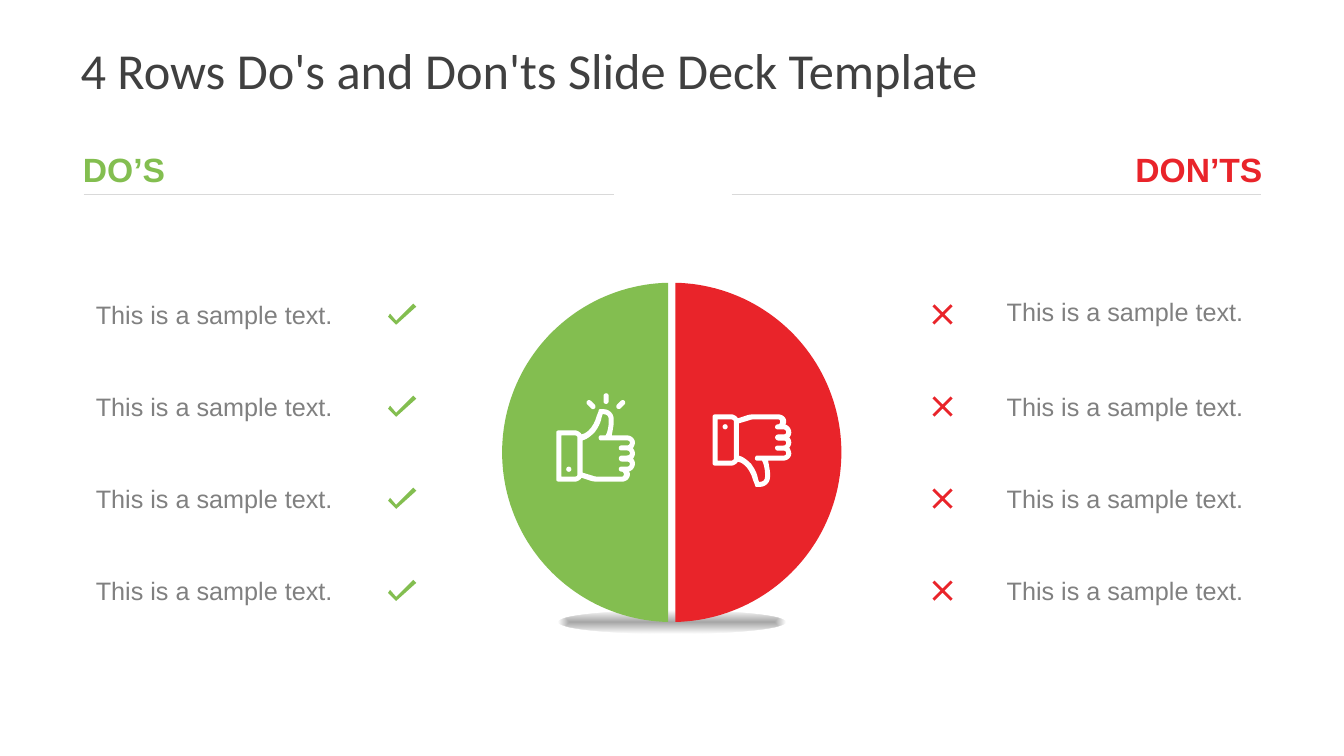
from dataclasses import dataclass
from math import acos, cos, sin

from pptx import Presentation
from pptx.dml.color import RGBColor
from pptx.enum.shapes import MSO_CONNECTOR as Connector, MSO_SHAPE as Preset
from pptx.enum.text import MSO_ANCHOR as Anchor, PP_ALIGN as Align
from pptx.oxml import parse_xml
from pptx.oxml.ns import nsdecls
from pptx.oxml.xmlchemy import OxmlElement
from pptx.util import Cm, Pt

GREEN, RED, WHITE = "83BE50", "E9242A", "FFFFFF"
GREY, DARK, RULE = "808080", "404040", "D9D9D9"
UNIT = Cm(2.54) / 100  # outlines are drawn in hundredths of an inch
ROWS, ROW_PITCH = 4, 2.32
THUMB_HEIGHT = 72

Contour = list[tuple[float, ...]]

TICK: Contour = [(8, 17), (2, 10), (0, 13), (8, 21), (28, 3), (25, 0)]
CROSS: Contour = [(20, 2), (18, 0), (10, 8), (2, 0), (0, 2), (8, 10),
                  (0, 18), (2, 20), (10, 12), (18, 20), (20, 18), (12, 10)]

# Pairs are corners; six numbers are a Bezier curve from the previous point.
HAND_OUTSIDE: Contour = [
    (76, 39), (77, 37, 78, 35, 78, 33), (78, 29, 74, 26, 70, 26), (55, 26),
    (56, 21, 57, 15, 57, 13), (57, 10), (57, 4, 52, 0, 47, 0), (44, 0),
    (43, 0, 42, 0, 42, 2), (40, 7), (38, 15, 32, 24, 25, 25),
    (24, 23, 21, 21, 18, 21), (3, 21), (1, 21, 0, 22, 0, 23), (0, 70),
    (0, 71, 1, 72, 3, 72), (18, 72), (21, 72, 24, 70, 25, 68), (34, 71),
    (37, 72, 40, 72, 43, 72), (65, 72), (69, 72, 73, 69, 73, 65),
    (73, 64, 73, 63, 72, 62), (75, 61, 78, 58, 78, 54),
    (78, 52, 77, 50, 76, 49), (77, 48, 78, 46, 78, 44),
    (78, 42, 77, 40, 76, 39)]
CUFF_INSIDE: Contour = [
    (21, 65), (21, 66, 20, 67, 18, 67), (5, 67), (5, 26), (18, 26),
    (20, 26, 21, 27, 21, 28)]
HAND_INSIDE: Contour = [
    (65, 41), (70, 41), (72, 41, 73, 42, 73, 44), (73, 45, 72, 46, 70, 46),
    (65, 46), (63, 46, 62, 48, 62, 49), (62, 50, 63, 52, 65, 52), (70, 52),
    (72, 52, 73, 53, 73, 54), (73, 56, 72, 57, 70, 57), (65, 57),
    (63, 57, 62, 58, 62, 59), (62, 61, 63, 62, 65, 62),
    (66, 62, 67, 63, 67, 65), (67, 66, 66, 67, 65, 67), (43, 67),
    (41, 67, 38, 67, 36, 66), (26, 63), (26, 31), (30, 30, 34, 27, 38, 23),
    (41, 19, 44, 14, 45, 8), (46, 5), (47, 5), (50, 5, 52, 7, 52, 10),
    (52, 13), (52, 16, 51, 23, 49, 26), (44, 26), (43, 26, 42, 27, 42, 28),
    (42, 30, 43, 31, 44, 31), (70, 31), (72, 31, 73, 32, 73, 33),
    (73, 35, 72, 36, 70, 36), (65, 36), (63, 36, 62, 37, 62, 39),
    (62, 40, 63, 41, 65, 41)]


@dataclass
class Side:
    heading: str
    heading_left: float
    heading_width: float
    rule_left: float
    rule_right: float
    color: str
    direction: int
    mark: Contour
    mark_left: float
    mark_top: float
    text_left: float
    text_align: Align
    first_row_lift: float
    thumb_left: float
    thumb_top: float
    thumb_down: bool


@dataclass
class Spark:
    left: float
    top: float
    rotation: int


SIDES = [
    Side("DO’S", 1.83, 2.59, 2.11, 15.47, GREEN, -1, TICK, 9.78, 7.65,
         1.9, Align.RIGHT, 0, 14.02, 10.31, False),
    Side("DON’TS", 28.35, 3.73, 18.44, 31.78, RED, 1, CROSS, 23.5, 7.67,
         25.12, Align.LEFT, 0.07, 17.96, 10.44, True),
]
SPARKS = [Spark(14.83, 10.06, -45), Spark(15.21, 9.91, 0), Spark(15.58, 10.06, 45)]


def rgb(color: str) -> RGBColor:
    return RGBColor.from_string(color)


def paint(shape, color: str) -> None:
    shape.shadow.inherit = False
    shape.fill.solid()
    shape.fill.fore_color.rgb = rgb(color)
    shape.line.fill.background()


def add_preset(page, preset: Preset, left: float, top: float,
               width: float, height: float, color: str):
    shape = page.shapes.add_shape(preset, Cm(left), Cm(top), Cm(width), Cm(height))
    paint(shape, color)
    return shape


def flatten(contour: Contour, steps: int = 6) -> Contour:
    """Turn the curves of a contour into short straight steps."""
    points = []
    for entry in contour:
        if len(entry) == 2:
            points.append(entry)
            continue
        x0, y0 = points[-1]
        x1, y1, x2, y2, x3, y3 = entry
        for step in range(1, steps + 1):
            t = step / steps
            a, b, c, d = (1 - t) ** 3, 3 * t * (1 - t) ** 2, 3 * t * t * (1 - t), t ** 3
            points.append((a * x0 + b * x1 + c * x2 + d * x3,
                           a * y0 + b * y1 + c * y2 + d * y3))
    return points


def add_outline(page, contours: list[Contour], left: float, top: float, color: str) -> None:
    builder = None
    for contour in contours:
        first, *rest = [(x * UNIT, y * UNIT) for x, y in contour]
        if builder is None:
            builder = page.shapes.build_freeform(*first, scale=1.0)
        else:
            builder.move_to(*first)
        builder.add_line_segments(rest, close=True)
    paint(builder.convert_to_shape(Cm(left), Cm(top)), color)


def add_text(page, text: str, left: float, top: float, width: float, height: float,
             size: int, color: str, font: str = "Arial", align: Align = Align.LEFT,
             bold: bool = False, wrap: bool = True, inset: float = 0.25) -> None:
    box = page.shapes.add_textbox(Cm(left), Cm(top), Cm(width), Cm(height))
    frame = box.text_frame
    frame.word_wrap = wrap
    frame.vertical_anchor = Anchor.MIDDLE
    frame.margin_left = frame.margin_right = Cm(inset)
    para = frame.paragraphs[0]
    para.alignment = align
    span = para.add_run()
    span.text = text
    span.font.name, span.font.size, span.font.bold = font, Pt(size), bold
    span.font.color.rgb = rgb(color)


def add_rule(page, left: float, right: float, top: float) -> None:
    rule = page.shapes.add_connector(Connector.STRAIGHT, Cm(left), Cm(top), Cm(right), Cm(top))
    rule.line.color.rgb = rgb(RULE)
    rule.line.width = Pt(0.75)
    rule._element.spPr.append(OxmlElement("a:effectLst"))


def add_ground_shadow(page) -> None:
    shadow = add_preset(page, Preset.OVAL, 14.07, 15.39, 5.72, 0.58, GREY)
    stops = "".join(
        f'<a:gs pos="{pos}"><a:srgbClr val="{GREY}"><a:alpha val="{alpha}"/></a:srgbClr></a:gs>'
        for pos, alpha in ((0, 70000), (100000, 0)))
    gradient = parse_xml(
        f'<a:gradFill {nsdecls("a")} rotWithShape="1"><a:gsLst>{stops}</a:gsLst>'
        '<a:path path="shape"><a:fillToRect l="50000" t="50000" r="50000" b="50000"/>'
        '</a:path></a:gradFill>')
    properties = shadow._element.spPr
    properties.replace(properties.find(gradient.tag.replace("gradFill", "solidFill")), gradient)


def add_half_disc(page, side: Side, radius: float = 168.3, half_gap: float = 3.5,
                  steps: int = 90) -> None:
    limit = acos(half_gap / radius)
    angles = [limit * (2 * step / steps - 1) for step in range(steps + 1)]
    arc = [(side.direction * radius * cos(angle), radius * sin(angle)) for angle in angles]
    add_outline(page, [arc], 16.93, 11.4, side.color)


def add_thumb(page, side: Side) -> None:
    contours = [flatten(contour) for contour in (HAND_OUTSIDE, CUFF_INSIDE, HAND_INSIDE)]
    button_top = 1.45
    if side.thumb_down:
        contours = [[(x, THUMB_HEIGHT - y) for x, y in contour] for contour in contours]
        button_top = 0.25
    add_outline(page, contours, side.thumb_left, side.thumb_top, WHITE)
    add_preset(page, Preset.OVAL, side.thumb_left + 0.25, side.thumb_top + button_top,
               0.13, 0.13, WHITE)


def add_side(page, side: Side) -> None:
    add_text(page, side.heading, side.heading_left, 3.63, side.heading_width, 1.27, 24,
             side.color, align=Align.CENTER, bold=True, wrap=False)
    add_rule(page, side.rule_left, side.rule_right, 4.9)
    add_half_disc(page, side)
    add_thumb(page, side)
    for row in range(ROWS):
        drop = row * ROW_PITCH
        lift = side.first_row_lift if row == 0 else 0
        add_outline(page, [side.mark], side.mark_left, side.mark_top + drop, side.color)
        add_text(page, "This is a sample text.", side.text_left, 7.42 + drop - lift,
                 6.73, 1.02, 18, GREY, align=side.text_align)


def main() -> None:
    deck = Presentation()
    deck.slide_width, deck.slide_height = Cm(33.87), Cm(19.05)
    page = deck.slides.add_slide(deck.slide_layouts[6])
    add_ground_shadow(page)
    add_text(page, "4 Rows Do's and Don'ts Slide Deck Template", 1.7, 0.76, 30.48, 1.98,
             36, DARK, font="Calibri", inset=0.33)
    for side in SIDES:
        add_side(page, side)
    for spark in SPARKS:
        bar = add_preset(page, Preset.ROUNDED_RECTANGLE, spark.left, spark.top, 0.13, 0.27, WHITE)
        bar.adjustments[0] = 0.5
        bar.rotation = spark.rotation
    deck.save("out.pptx")


if __name__ == "__main__":
    main()
